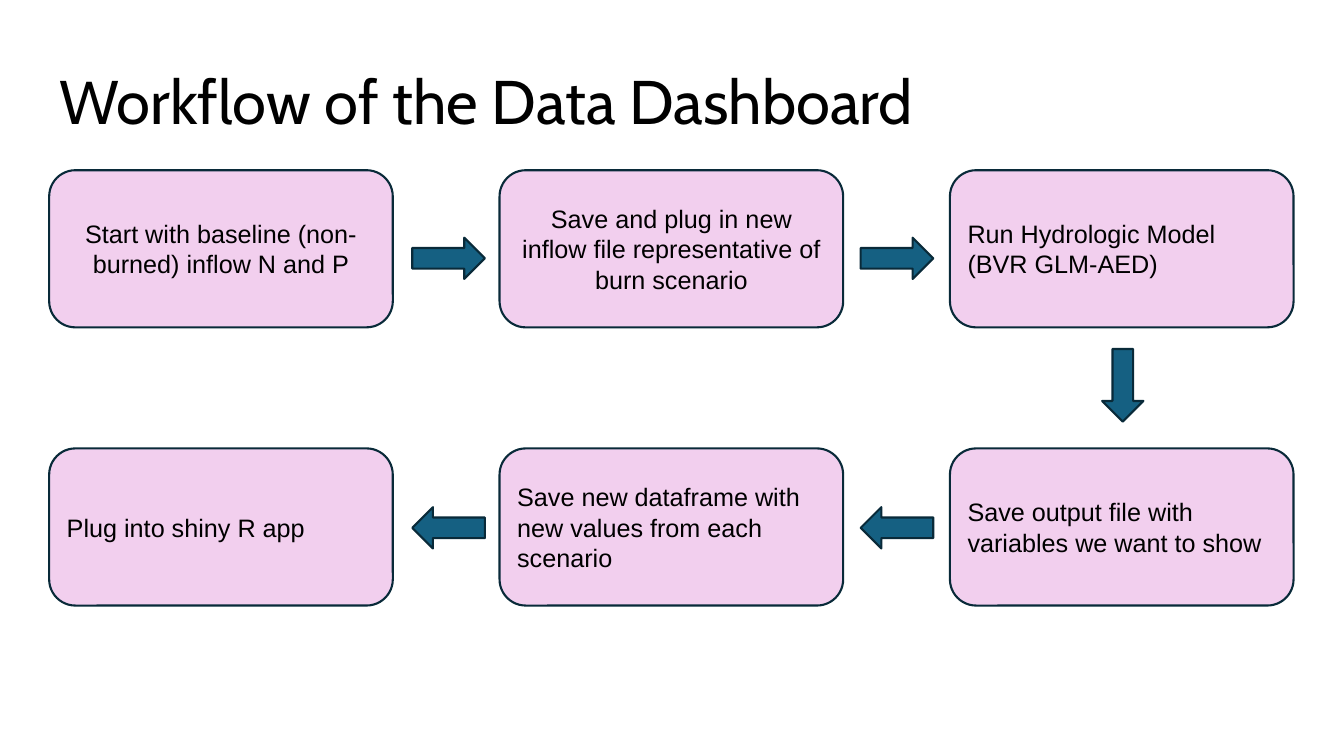
from pptx import Presentation
from pptx.dml.color import RGBColor
from pptx.enum import shapes, text
from pptx.util import Cm, Pt

LEFT, COLUMN_STEP = 1.24, 11.35
ROW_TOPS = (4.29, 11.3)
BOX_WIDTH, BOX_HEIGHT = 8.66, 3.96
ARROW_WIDTH, ARROW_HEIGHT = 1.83, 1.04

# text, column, row, alignment
STEPS = [
    ("Start with baseline (non-burned) inflow N and P", 0, 0, "CENTER"),
    ("Save and plug in new inflow file representative of burn scenario", 1, 0, "CENTER"),
    ("Run Hydrologic Model (BVR GLM-AED)", 2, 0, "LEFT"),
    ("Save output file with variables we want to show", 2, 1, "LEFT"),
    ("Save new dataframe with new values from each scenario", 1, 1, "LEFT"),
    ("Plug into shiny R app", 0, 1, "LEFT"),
]

# left, top, rotation
ARROWS = [
    (10.39, 5.99, 0),
    (21.69, 5.99, 0),
    (27.38, 9.19, 90),
    (21.69, 12.78, 180),
    (10.39, 12.78, 180),
]


def colour(value):
    return RGBColor.from_string(value)


class Workflow:
    ink, outline = "000000", "092A39"
    box_fill, arrow_fill = "F2CFEE", "156082"
    title_font, body_font = "Cabin", "Arial"

    def __init__(self, page):
        self.page = page

    def add_text(self, frame, words, font, size, align):
        frame.word_wrap = True
        frame.auto_size = text.MSO_AUTO_SIZE.NONE
        frame.vertical_anchor = text.MSO_ANCHOR.MIDDLE
        para = frame.paragraphs[0]
        para.alignment = align
        span = para.add_run()
        span.text = words
        span.font.name = font
        span.font.size = Pt(size)
        span.font.color.rgb = colour(self.ink)
        return para

    def title(self, words, left, top, width, height):
        box = self.page.shapes.title
        box.left, box.top = Cm(left), Cm(top)
        box.width, box.height = Cm(width), Cm(height)
        para = self.add_text(box.text_frame, words, self.title_font, 44, text.PP_ALIGN.LEFT)
        para.line_spacing = 0.9

    def shape(self, kind, left, top, width, height, fill):
        shape = self.page.shapes.add_shape(kind, Cm(left), Cm(top), Cm(width), Cm(height))
        shape.shadow.inherit = False
        shape.fill.solid()
        shape.fill.fore_color.rgb = colour(fill)
        shape.line.color.rgb = colour(self.outline)
        shape.line.width = Pt(1.5)
        return shape

    def step(self, words, column, row, align):
        box = self.shape(shapes.MSO_SHAPE.ROUNDED_RECTANGLE, LEFT + column * COLUMN_STEP,
                         ROW_TOPS[row], BOX_WIDTH, BOX_HEIGHT, self.box_fill)
        self.add_text(box.text_frame, words, self.body_font, 18, text.PP_ALIGN[align])

    def arrow(self, left, top, rotation):
        arrow = self.shape(shapes.MSO_SHAPE.RIGHT_ARROW, left, top,
                           ARROW_WIDTH, ARROW_HEIGHT, self.arrow_fill)
        arrow.rotation = rotation


def main():
    deck = Presentation()
    deck.slide_width, deck.slide_height = Cm(33.87), Cm(19.05)
    workflow = Workflow(deck.slides.add_slide(deck.slide_layouts[5]))
    workflow.title("Workflow of the Data Dashboard", LEFT, 0.79, 29.21, 3.68)
    for step in STEPS:
        workflow.step(*step)
    for arrow in ARROWS:
        workflow.arrow(*arrow)
    deck.save("out.pptx")


if __name__ == "__main__":
    main()
